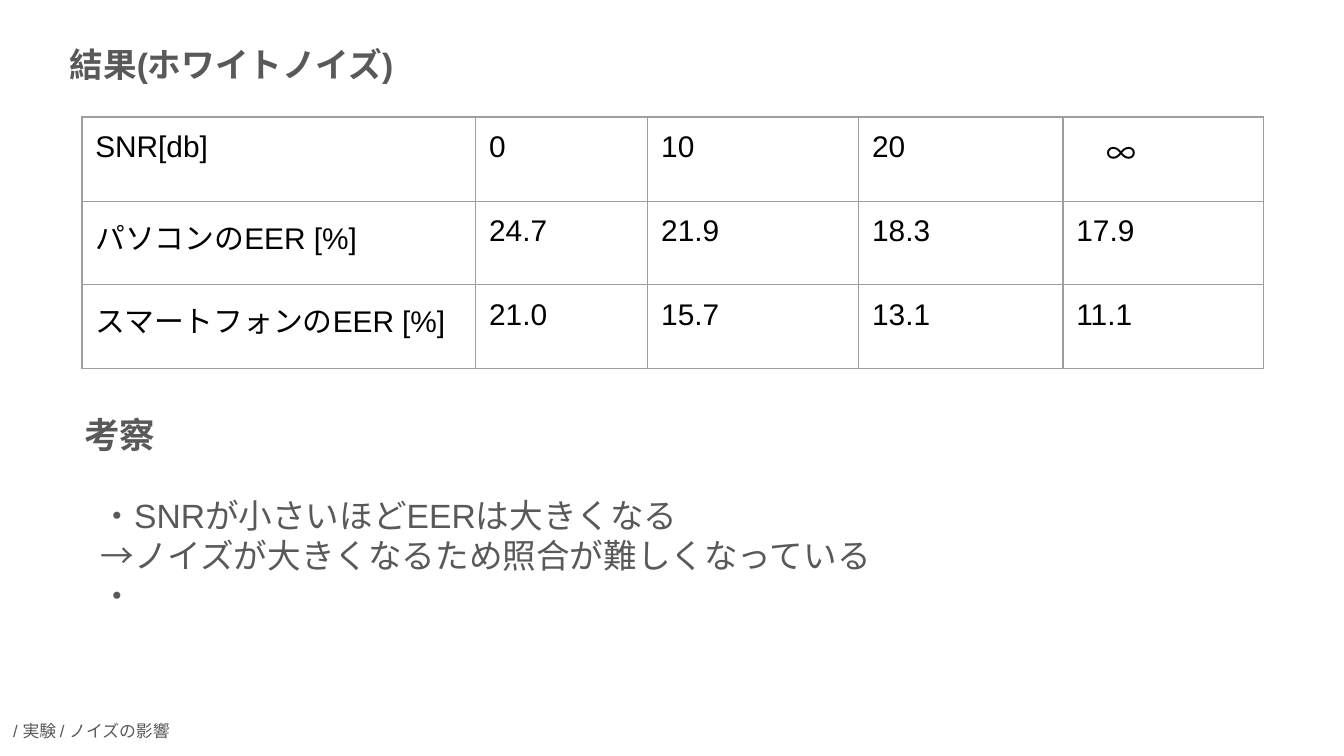
from dataclasses import dataclass

from pptx import Presentation
from pptx.dml.color import RGBColor
from pptx.oxml import parse_xml
from pptx.oxml.ns import nsdecls
from pptx.slide import Slide
from pptx.table import _Cell
from pptx.text.text import TextFrame
from pptx.util import Inches, Pt

BLACK = RGBColor(0x00, 0x00, 0x00)
GRAY = RGBColor(0x59, 0x59, 0x59)
BORDER = RGBColor(0x9E, 0x9E, 0x9E)
FONT_NAME = "Arial"
MARGIN = Inches(0.1)
SLIDE_WIDTH = 10
SLIDE_HEIGHT = SLIDE_WIDTH * 9 / 16


@dataclass(frozen=True)
class TextBlock:
    left: float
    top: float
    width: float
    height: float
    size: int
    lines: tuple[str, ...]
    bold: bool = False


TEXT_BLOCKS = (
    TextBlock(0.42, 0.23, 3.47, 0.38, 18, ("結果(ホワイトノイズ)",), bold=True),
    TextBlock(0.53, 2.97, 2.27, 0.6, 19, ("考察",), bold=True),
    TextBlock(
        0.65, 3.58, 8.79, 1.66, 18,
        ("・SNRが小さいほどEERは大きくなる", "→ノイズが大きくなるため照合が難しくなっている", "・"),
    ),
    TextBlock(0, 5.29, 4.42, 0.34, 9, ("/ 実験 / ノイズの影響",)),
)
COLUMN_WIDTHS = (2.93, 1.28, 1.57, 1.52, 1.49)
ROW_HEIGHTS = (0.63, 0.62, 0.62)
RESULTS = (
    ("SNR[db]", "0", "10", "20", "　∞"),
    ("パソコンのEER [%]", "24.7", "21.9", "18.3", "17.9"),
    ("スマートフォンのEER [%]", "21.0", "15.7", "13.1", "11.1"),
)


def write_text(frame: TextFrame, text: str, size: int, color: RGBColor,
               bold: bool = False) -> None:
    frame.text = text
    for paragraph in frame.paragraphs:
        paragraph.font.name = FONT_NAME
        paragraph.font.size = Pt(size)
        paragraph.font.bold = bold
        paragraph.font.color.rgb = color


def draw_text_block(slide: Slide, block: TextBlock) -> None:
    shape = slide.shapes.add_textbox(
        Inches(block.left), Inches(block.top), Inches(block.width), Inches(block.height))
    frame = shape.text_frame
    frame.word_wrap = True
    frame.margin_left = frame.margin_right = MARGIN
    frame.margin_top = frame.margin_bottom = MARGIN
    write_text(frame, "\n".join(block.lines), block.size, GRAY, block.bold)


def style_cell(cell: _Cell) -> None:
    cell.margin_left = cell.margin_right = MARGIN
    cell.margin_top = cell.margin_bottom = MARGIN
    properties = cell._tc.get_or_add_tcPr()
    for side in ("lnL", "lnR", "lnT", "lnB"):
        properties.append(parse_xml(
            f'<a:{side} {nsdecls("a")} w="{Pt(0.75)}"><a:solidFill>'
            f'<a:srgbClr val="{BORDER}"/></a:solidFill></a:{side}>'))
    cell.fill.background()


def draw_results_table(slide: Slide) -> None:
    shape = slide.shapes.add_table(
        len(ROW_HEIGHTS), len(COLUMN_WIDTHS), Inches(0.61), Inches(0.87),
        Inches(sum(COLUMN_WIDTHS)), Inches(sum(ROW_HEIGHTS)))
    table = shape.table
    table.first_row = table.horz_banding = False
    for column, width in zip(table.columns, COLUMN_WIDTHS):
        column.width = Inches(width)
    for row, height, values in zip(table.rows, ROW_HEIGHTS, RESULTS):
        row.height = Inches(height)
        for cell, value in zip(row.cells, values):
            style_cell(cell)
            write_text(cell.text_frame, value, 16, BLACK)


def main() -> None:
    """Build the slide of white-noise results and their discussion."""
    presentation = Presentation()
    presentation.slide_width = Inches(SLIDE_WIDTH)
    presentation.slide_height = Inches(SLIDE_HEIGHT)
    slide = presentation.slides.add_slide(presentation.slide_layouts[6])
    draw_results_table(slide)
    for block in TEXT_BLOCKS:
        draw_text_block(slide, block)
    presentation.save("out.pptx")


if __name__ == "__main__":
    main()
